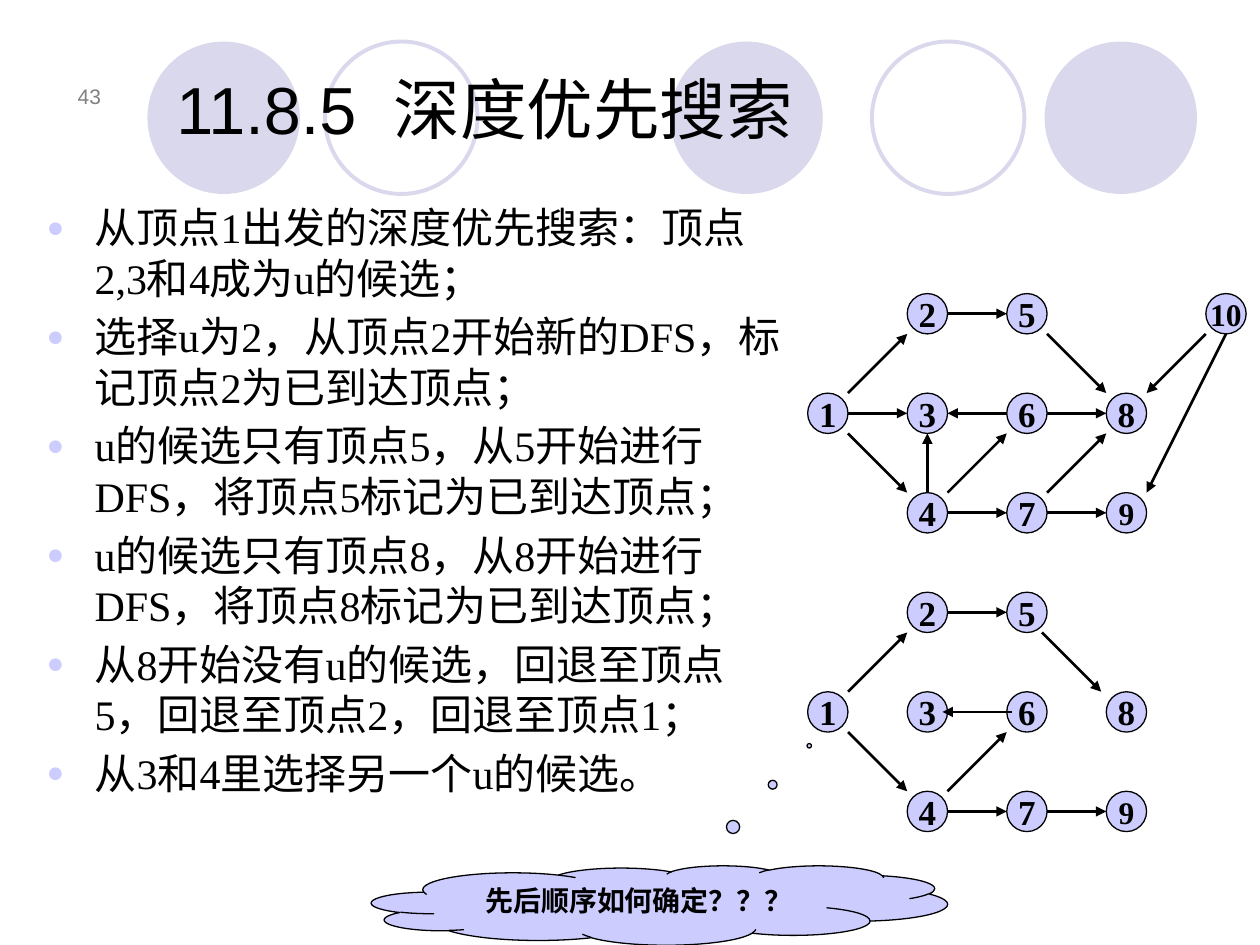
from lxml.etree import SubElement
from pptx import Presentation
from pptx.dml.color import RGBColor
from pptx.enum.shapes import MSO_CONNECTOR as Connector, MSO_SHAPE as Shape
from pptx.enum.text import MSO_ANCHOR as Anchor, MSO_AUTO_SIZE as AutoSize, PP_ALIGN as Align
from pptx.oxml.ns import qn
from pptx.util import Inches, Pt

BLACK = RGBColor(0, 0, 0)
GRAY = RGBColor(0x80, 0x80, 0x80)
LAVENDER = RGBColor(0xCC, 0xCC, 0xFF)
PALE = RGBColor(0xD9, 0xD8, 0xEC)
SANS, SERIF = "Arial", "Times New Roman"

TITLE = "11.8.5  深度优先搜索"
STEPS = [
    "从顶点1出发的深度优先搜索：顶点2,3和4成为u的候选；",
    "选择u为2，从顶点2开始新的DFS，标记顶点2为已到达顶点；",
    "u的候选只有顶点5，从5开始进行DFS，将顶点5标记为已到达顶点；",
    "u的候选只有顶点8，从8开始进行DFS，将顶点8标记为已到达顶点；",
    "从8开始没有u的候选，回退至顶点5，回退至顶点2，回退至顶点1；",
    "从3和4里选择另一个u的候选。",
]
QUESTION = "先后顺序如何确定？？？"
CIRCLES = [(1.17, True), (2.58, False), (5.32, True), (6.92, False), (8.29, True)]

NODES = {1: (0, 1), 2: (1, 0), 3: (1, 1), 4: (1, 2), 5: (2, 0),
         6: (2, 1), 7: (2, 2), 8: (3, 1), 9: (3, 2), 10: (4, 0)}
GRAPH_EDGES = [(1, 2), (1, 3), (1, 4), (2, 5), (6, 3), (4, 7), (5, 8), (6, 8),
               (7, 8), (7, 9), (10, 8), (10, 9), (4, 3), (4, 6)]
TREE_EDGES = [(1, 2), (6, 3), (1, 4), (2, 5), (4, 7), (5, 8), (7, 9), (4, 6)]
GRAPH_NUDGES = {(10, 9): (0.16, 0)}
TREE_NUDGES = {(6, 3): (0.04, -0.04), (5, 8): (-0.04, -0.04)}
GRID_LEFT, GRID_TOP, PITCH, RADIUS = 6.57, 2.49, 0.79, 0.16
TREE_ROW = 3

presentation = Presentation()
presentation.slide_width, presentation.slide_height = Inches(10), Inches(7.5)
slide = presentation.slides.add_slide(presentation.slide_layouts[1])


def place(shape, left, top, width, height):
    shape.left, shape.top = Inches(left), Inches(top)
    shape.width, shape.height = Inches(width), Inches(height)


def write(shape, *lines, size, font=SERIF, color=BLACK, bold=False,
          align=Align.LEFT, anchor=Anchor.TOP, wrap=True):
    frame = shape.text_frame
    frame.text = "\n".join(lines)
    frame.auto_size = AutoSize.NONE
    frame.word_wrap, frame.vertical_anchor = wrap, anchor
    for paragraph in frame.paragraphs:
        paragraph.alignment = align
        style = paragraph.runs[0].font
        style.name, style.size, style.bold = font, Pt(size), bold
        style.color.rgb = color


def add_bullet(paragraph):
    properties = paragraph._p.get_or_add_pPr()
    properties.set("marL", str(Inches(0.38)))
    properties.set("indent", str(-Inches(0.38)))
    color = SubElement(properties, qn("a:buClr"))
    SubElement(color, qn("a:srgbClr"), val=str(LAVENDER))
    SubElement(properties, qn("a:buSzPct"), val="70000")
    SubElement(properties, qn("a:buFont"), typeface=SANS)
    SubElement(properties, qn("a:buChar"), char="●")


def add_shape(kind, left, top, width, height, fill=LAVENDER, line=BLACK, weight=0.75):
    shape = slide.shapes.add_shape(kind, 0, 0, 0, 0)
    place(shape, left, top, width, height)
    shape.shadow.inherit = False
    if fill is None:
        shape.fill.background()
    else:
        shape.fill.solid()
        shape.fill.fore_color.rgb = fill
    if line is None:
        shape.line.fill.background()
    else:
        shape.line.color.rgb, shape.line.width = line, Pt(weight)
    return shape


def add_arrow(start, end):
    arrow = slide.shapes.add_connector(
        Connector.STRAIGHT, *(Inches(value) for value in (*start, *end)))
    arrow.line.color.rgb, arrow.line.width = BLACK, Pt(1.5)
    SubElement(arrow.line._get_or_add_ln(), qn("a:tailEnd"), type="triangle")
    SubElement(arrow._element.spPr, qn("a:effectLst"))


def sign(value):
    return (value > 0) - (value < 0)


def add_graph(first_row, labels, edges, nudges):
    centers = {label: (GRID_LEFT + column * PITCH, GRID_TOP + (first_row + row) * PITCH)
               for label, (column, row) in NODES.items()}
    for label in labels:
        x, y = centers[label]
        node = add_shape(Shape.OVAL, x - RADIUS, y - RADIUS, 2 * RADIUS, 2 * RADIUS)
        write(node, str(label), size=18 if label > 8 else 20, bold=True,
              align=Align.CENTER, anchor=Anchor.MIDDLE, wrap=False)
    for source, target in edges:
        (x1, y1), (x2, y2) = centers[source], centers[target]
        across = RADIUS * sign(NODES[target][0] - NODES[source][0])
        down = RADIUS * sign(NODES[target][1] - NODES[source][1])
        start_nudge, end_nudge = nudges.get((source, target), (0, 0))
        add_arrow((x1 + across + start_nudge, y1 + down),
                  (x2 - across + end_nudge, y2 - down))


for left, filled in CIRCLES:
    circle = add_shape(Shape.OVAL, left, 0.33, 1.21, 1.21, PALE if filled else None,
                       None if filled else PALE, 2.25)
    slide.shapes._spTree.insert(2, circle._element)

page_number = slide.shapes.add_textbox(0, 0, 0, 0)
place(page_number, 0.35, 0.44, 0.55, 0.47)
write(page_number, "43", size=12, font=SANS, color=GRAY, align=Align.RIGHT, anchor=Anchor.BOTTOM)

title, body = slide.placeholders
place(title, 1.3, 0.21, 8.27, 1.01)
write(title, TITLE, size=38, font=SANS, anchor=Anchor.BOTTOM)
place(body, 0.27, 1.55, 6.06, 5.67)
write(body, *STEPS, size=24)
for paragraph in body.text_frame.paragraphs:
    add_bullet(paragraph)

add_graph(0, range(1, 11), GRAPH_EDGES, GRAPH_NUDGES)
add_graph(TREE_ROW, range(1, 10), TREE_EDGES, TREE_NUDGES)

cloud = add_shape(Shape.CLOUD_CALLOUT, 2.95, 6.87, 4.57, 0.63)
cloud.adjustments[0], cloud.adjustments[1] = 0.26, -2.01
write(cloud, QUESTION, size=16, bold=True, align=Align.CENTER)

presentation.save("out.pptx")
